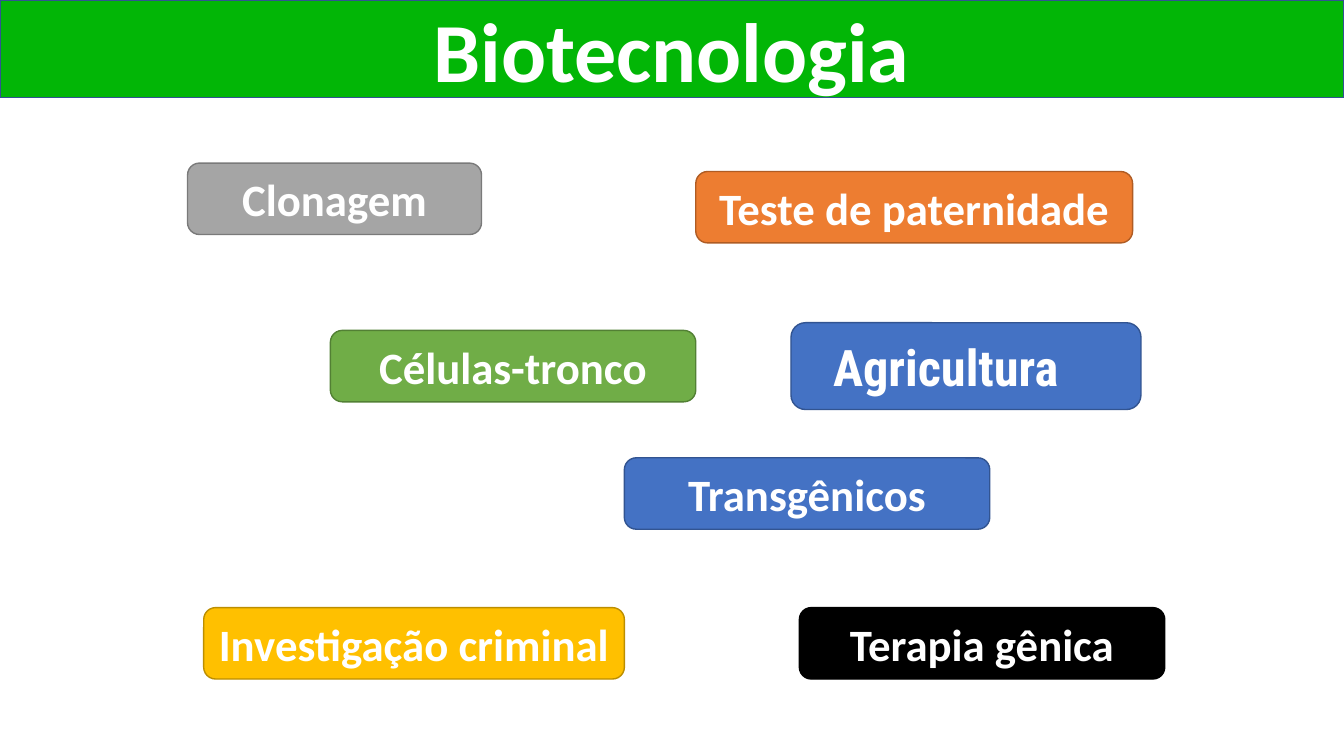
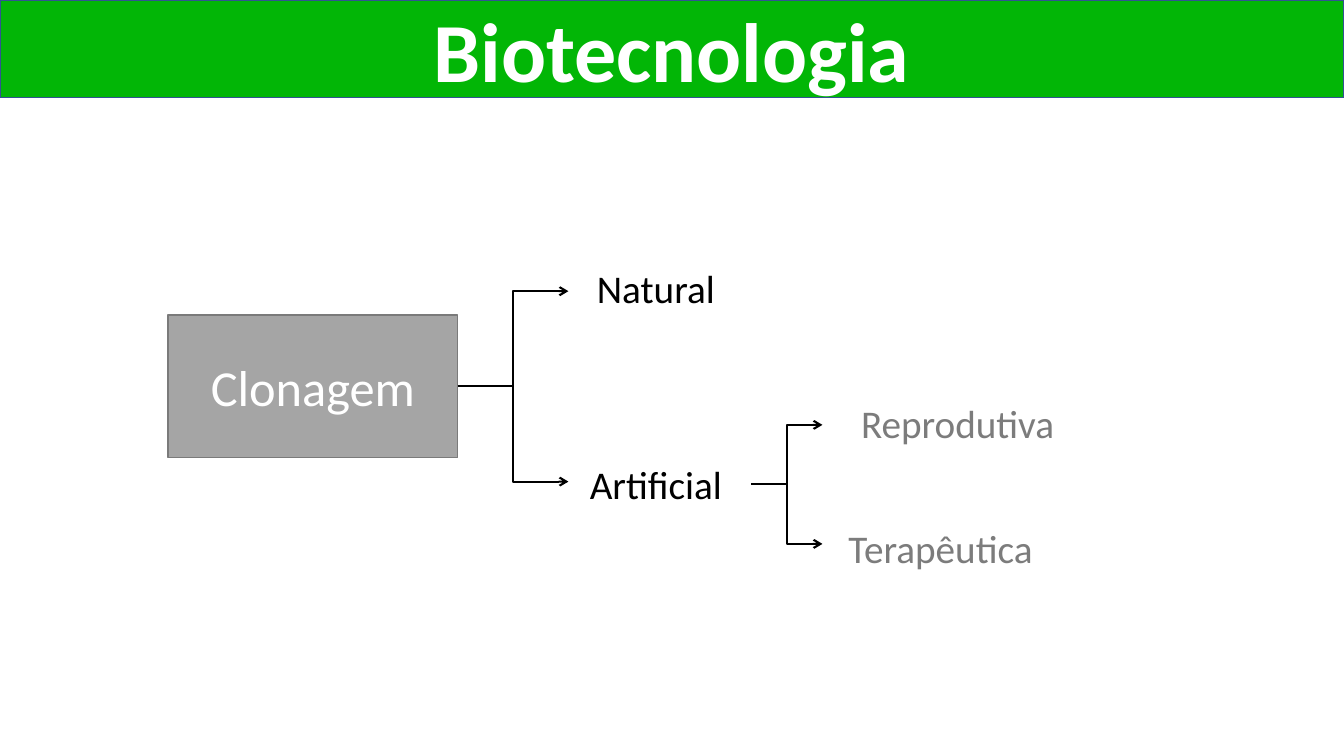
from lxml import etree
from pptx import Presentation
from pptx.dml.color import RGBColor
from pptx.enum.shapes import MSO_CONNECTOR, MSO_SHAPE
from pptx.enum.text import MSO_ANCHOR, MSO_AUTO_SIZE, PP_ALIGN
from pptx.oxml.ns import qn
from pptx.util import Pt

ELBOW = MSO_CONNECTOR.ELBOW
RECTANGLE, ROUNDED = MSO_SHAPE.RECTANGLE, MSO_SHAPE.ROUNDED_RECTANGLE
TOP, MIDDLE, BOTTOM = MSO_ANCHOR.TOP, MSO_ANCHOR.MIDDLE, MSO_ANCHOR.BOTTOM
LEFT, CENTER = PP_ALIGN.LEFT, PP_ALIGN.CENTER
NO_FIT, GROW = MSO_AUTO_SIZE.NONE, MSO_AUTO_SIZE.SHAPE_TO_FIT_TEXT
RIGHT_SIDE = 3
TITLE_ONLY = 5

WIDTH, HEIGHT = 960, 540
WHITE, BLACK, GRAY, DARK_GRAY = "FFFFFF", "000000", "A5A5A5", "7C7C7C"
BAND_GREEN, GREEN, BLUE = "02B606", "70AD47", "4472C4"
ORANGE, GOLD = "ED7D31", "FFC000"


def color(value):
    return RGBColor.from_string(value)


def darker(value):
    """Return the outline shade that goes with a fill."""
    return "".join(f"{int(value[i:i + 2], 16) * 74 // 100:02X}" for i in (0, 2, 4))


def points(*lengths):
    return [Pt(length) for length in lengths]


def write(shape, text, size=32, font="Calibri", ink=WHITE, bold=False,
          align=CENTER, anchor=MIDDLE, spacing=None, fit=NO_FIT):
    frame = shape.text_frame
    frame.text = text
    frame.word_wrap = True
    frame.auto_size = fit
    frame.vertical_anchor = anchor
    paragraph = frame.paragraphs[0]
    paragraph.alignment = align
    if spacing:
        paragraph.line_spacing = spacing
    run_font = paragraph.runs[0].font
    run_font.name, run_font.size, run_font.bold = font, Pt(size), bold
    run_font.color.rgb = color(ink)


class Deck:
    def __init__(self):
        self.presentation = Presentation()
        self.presentation.slide_width, self.presentation.slide_height = points(WIDTH, HEIGHT)
        self.slide = None

    def add_slide(self, title_text):
        layout = self.presentation.slide_layouts[TITLE_ONLY]
        self.slide = self.presentation.slides.add_slide(layout)
        band = self.box(0, 0, WIDTH, 69.5, BAND_GREEN, border=darker(BLUE))
        title = self.slide.shapes.title
        title.left, title.top, title.width, title.height = points(169.5, 1.5, 620.5, 74)
        write(title, title_text, size=60, bold=True, anchor=BOTTOM, spacing=0.9)
        # The title must lie in front of its band.
        title.element.addprevious(band.element)

    def box(self, left, top, width, height, fill, text="", kind=RECTANGLE,
            border=None, **style):
        shape = self.slide.shapes.add_shape(kind, *points(left, top, width, height))
        shape.shadow.inherit = False
        shape.fill.solid()
        shape.fill.fore_color.rgb = color(fill)
        shape.line.color.rgb = color(border or darker(fill))
        shape.line.width = Pt(1)
        if text:
            write(shape, text, **style)
        return shape

    def label(self, left, top, width, text, ink=BLACK, align=CENTER):
        shape = self.slide.shapes.add_textbox(*points(left, top, width, 41))
        write(shape, text, size=28, ink=ink, align=align, anchor=TOP, fit=GROW)
        return shape

    def fork(self, source, length, spread):
        """Branch from the right side of source to two arrows, spread above and below."""
        start_x = source.left + source.width
        start_y = source.top + source.height // 2
        for offset in (-spread, spread):
            connector = self.slide.shapes.add_connector(
                ELBOW, start_x, start_y, start_x + Pt(length), start_y + Pt(offset))
            connector.begin_connect(source, RIGHT_SIDE)
            connector.line.color.rgb = color(BLACK)
            connector.line.width = Pt(1.5)
            line = connector.line._get_or_add_ln()
            etree.SubElement(line, qn("a:tailEnd"), type="arrow")
            etree.SubElement(connector.element.spPr, qn("a:effectLst"))


def topics_slide(deck):
    deck.add_slide("Biotecnologia")
    topics = [
        ("Clonagem", 134, 116.5, 210, GRAY),
        ("Células-tronco", 236, 236, 261, GREEN),
        ("Transgênicos", 446, 327, 261, BLUE),
        ("Terapia gênica", 571, 434, 261, BLACK),
        ("Teste de paternidade", 497, 122.5, 312, ORANGE),
        ("Investigação criminal", 145.5, 434, 300.5, GOLD),
    ]
    for text, left, top, width, fill in topics:
        deck.box(left, top, width, 51, fill, text, kind=ROUNDED, bold=True)
    agriculture = deck.box(565, 230.5, 250, 62, BLUE, "Agricultura", kind=ROUNDED,
                           size=36, font="Roboto Condensed", bold=True, align=LEFT)
    agriculture.text_frame.margin_left = Pt(27)


def cloning_slide(deck):
    deck.add_slide("Biotecnologia")
    cloning = deck.box(120, 225, 207, 102, GRAY, "Clonagem", size=36)
    deck.label(400.5, 185, 136, "Natural")
    artificial = deck.label(400.5, 325.5, 136, "Artificial")
    deck.label(587.5, 281.5, 193, "Reprodutiva", ink=DARK_GRAY)
    deck.label(599, 371, 193, "Terapêutica", ink=DARK_GRAY, align=LEFT)
    deck.fork(cloning, length=79, spread=68)
    deck.fork(artificial, length=51, spread=42.5)


def main():
    deck = Deck()
    topics_slide(deck)
    cloning_slide(deck)
    deck.presentation.save("out.pptx")


if __name__ == "__main__":
    main()
